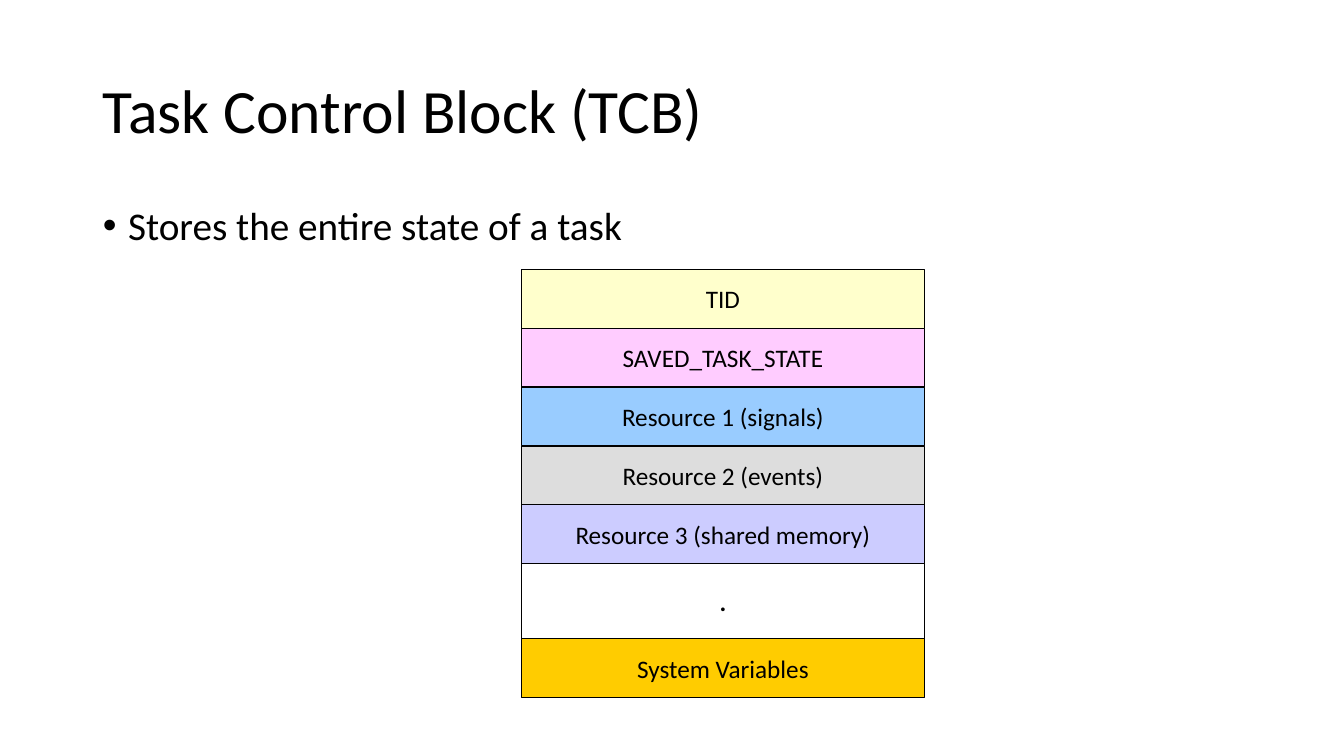
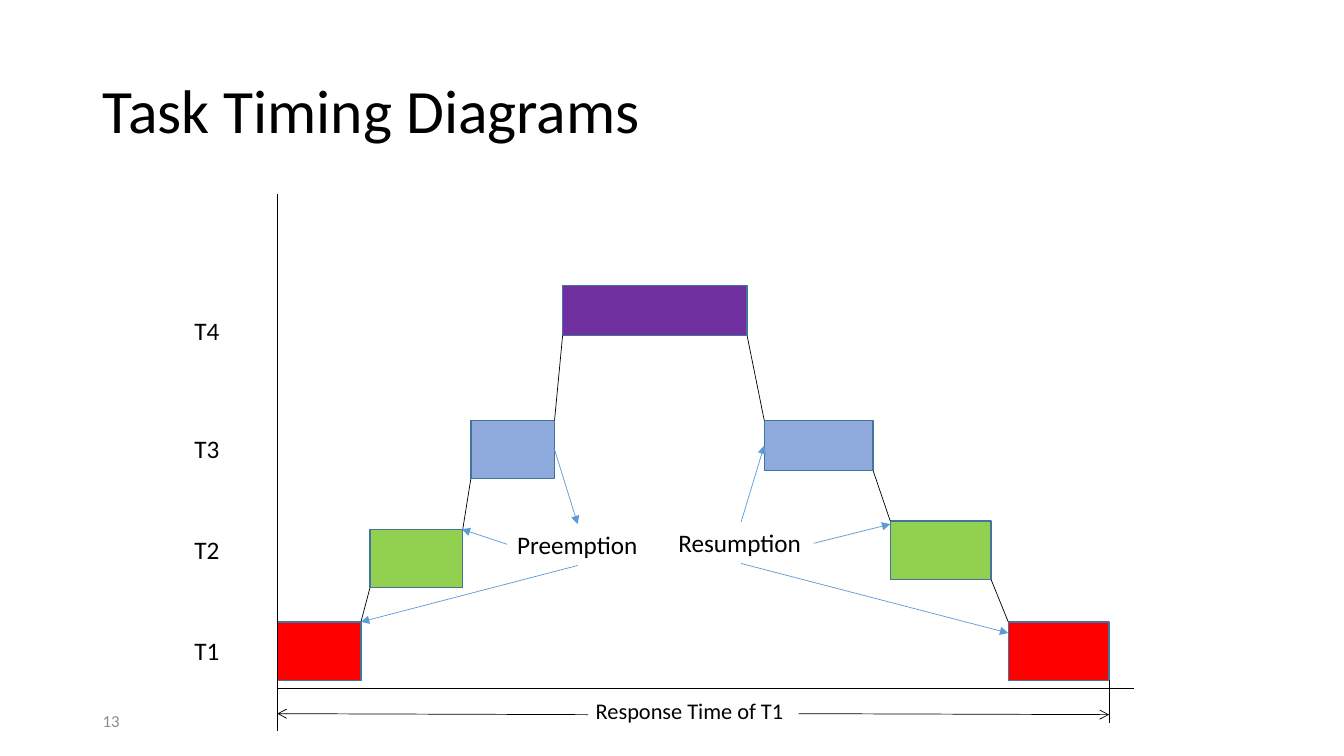
from itertools import pairwise

from lxml.etree import SubElement
from pptx import Presentation
from pptx.dml.color import RGBColor as Rgb
from pptx.enum.shapes import MSO_CONNECTOR as Conn, MSO_SHAPE as Form
from pptx.enum.text import MSO_ANCHOR as Anchor, MSO_AUTO_SIZE as Auto, PP_ALIGN as Align
from pptx.oxml.ns import qn
from pptx.util import Inches, Pt

FONT = "Calibri"
HUES = {
    "ink": "000000", "note": "8C8C8C", "edge": "43739E", "link": "5B9BD5",
    "cream": "FFFFCC", "pink": "FFCCFF", "sky": "99CCFF", "gray": "DDDDDD",
    "lilac": "CCCCFF", "gold": "FFCC00",
    "T1": "FF0000", "T2": "92D050", "T3": "8FAADC", "T4": "7030A0",
}

FIELDS = [
    ("TID", "cream"),
    ("SAVED_TASK_STATE", "pink"),
    ("Resource 1 (signals)", "sky"),
    ("Resource 2 (events)", "gray"),
    ("Resource 3 (shared memory)", "lilac"),
    (".", None),
    ("System Variables", "gold"),
]

# Task, left, top, width, height, in order of time
RUNS = [
    ("T1", 2.75, 6.17, 0.83, 0.58),
    ("T2", 3.67, 5.25, 0.92, 0.58),
    ("T3", 4.67, 4.17, 0.83, 0.58),
    ("T4", 5.58, 2.83, 1.83, 0.5),
    ("T3", 7.58, 4.17, 1.08, 0.5),
    ("T2", 8.83, 5.17, 1, 0.58),
    ("T1", 10, 6.17, 1, 0.58),
]
TASKS = {"T1": 6.25, "T2": 5.25, "T3": 4.25, "T4": 3.08}
AXES = [
    ((2.75, 1.92), (2.75, 7.25)),
    ((2.75, 6.83), (11.25, 6.83)),
    ((11, 6.75), (11, 7.17)),
]
SPANS = [((5.83, 7.09), (2.75, 7.08)), ((7.92, 7.08), (11, 7.09))]
LINKS = [
    ((5.73, 5.61), (3.58, 6.17)),
    ((5.03, 5.4), (4.58, 5.25)),
    ((5.5, 4.46), (5.73, 5.2)),
    ((7.35, 5.18), (7.58, 4.42)),
    ((8.07, 5.39), (8.83, 5.2)),
    ((7.35, 5.59), (10, 6.28)),
]


def tint(name):
    return Rgb.from_string(HUES[name])


def place(shape, left, top, width, height):
    shape.left, shape.top = Inches(left), Inches(top)
    shape.width, shape.height = Inches(width), Inches(height)


def write(shape, text, size, hue="ink", align=Align.LEFT, anchor=Anchor.TOP,
          wrap=True, bold=False):
    """Fill a shape with one styled paragraph and return that paragraph."""
    frame = shape.text_frame
    frame.text = text
    frame.auto_size = Auto.NONE
    frame.word_wrap = wrap
    frame.vertical_anchor = anchor
    para = frame.paragraphs[0]
    para.alignment = align
    font = para.runs[0].font
    font.name, font.size, font.bold = FONT, Pt(size), bold
    font.color.rgb = tint(hue)
    return para


def add_slide(deck, layout, title):
    slide = deck.slides.add_slide(deck.slide_layouts.get_by_name(layout))
    head = slide.shapes.title
    place(head, 0.92, 0.4, 11.5, 1.45)
    write(head, title, 44, anchor=Anchor.MIDDLE).line_spacing = 0.9
    return slide


def add_bullet(slide, text):
    body = slide.placeholders[1]
    place(body, 0.92, 2, 11.5, 4.76)
    para = write(body, text, 28)
    para.line_spacing, para.space_before = 0.9, Pt(10)
    props = para._p.get_or_add_pPr()
    props.set("marL", str(Inches(0.25)))
    props.set("indent", str(Inches(-0.25)))
    SubElement(props, qn("a:buFont"), typeface="Arial")
    SubElement(props, qn("a:buChar"), char="•")


def add_box(slide, spot, fill, edge, weight):
    box = slide.shapes.add_shape(Form.RECTANGLE, *map(Inches, spot))
    box.shadow.inherit = False
    if fill:
        box.fill.solid()
        box.fill.fore_color.rgb = tint(fill)
    else:
        box.fill.background()
    box.line.color.rgb = tint(edge)
    box.line.width = Pt(weight)
    return box


def add_label(slide, spot, text, size=18, **style):
    box = slide.shapes.add_textbox(*map(Inches, spot))
    write(box, text, size, **style)


def add_line(slide, start, end, hue="ink", tip=None):
    line = slide.shapes.add_connector(Conn.STRAIGHT, *map(Inches, start + end))
    line.line.color.rgb = tint(hue)
    line.line.width = Pt(0.5)
    if tip:
        SubElement(line.line._get_or_add_ln(), qn("a:tailEnd"), type=tip)
    SubElement(line._element.spPr, qn("a:effectLst"))


def add_stack(slide, left, top, width, height, gap):
    """Stack the block's fields; the unfilled one has the height of gap."""
    row = (height - gap) / (len(FIELDS) - 1)
    for text, fill in FIELDS:
        tall = row if fill else gap
        box = add_box(slide, (left, top, width, tall), fill, "ink", 0.75)
        write(box, text, 18, align=Align.CENTER, anchor=Anchor.MIDDLE,
              wrap=False, bold=fill is None)
        top += tall


def add_step(slide, prior, after):
    """Join the facing corners of two runs that follow each other."""
    _, left, top, width, height = prior
    _, left2, top2, _, height2 = after
    rises = top2 < top
    start = (left + width, top if rises else top + height)
    end = (left2, top2 + height2 if rises else top2)
    add_line(slide, start, end)


def draw_block(deck):
    slide = add_slide(deck, "Title and Content", "Task Control Block (TCB)")
    add_bullet(slide, "Stores the entire state of a task")
    add_stack(slide, 5.17, 2.67, 4, 4.25, gap=0.74)


def draw_timing(deck):
    slide = add_slide(deck, "Title Only", "Task Timing Diagrams")
    add_label(slide, (0.92, 6.95, 3, 0.4), "13", 12, hue="note", anchor=Anchor.MIDDLE)
    for task, *spot in RUNS:
        add_box(slide, spot, task, "edge", 1)
    for prior, after in pairwise(RUNS):
        add_step(slide, prior, after)
    for task, top in TASKS.items():
        add_label(slide, (1.83, top, 0.83, 0.4), task)
    for ends in AXES:
        add_line(slide, *ends)
    for ends in SPANS:
        add_line(slide, *ends, tip="arrow")
    for ends in LINKS:
        add_line(slide, *ends, hue="link", tip="triangle")
    add_label(slide, (5.81, 6.87, 2.09, 0.37), "Response Time of T1", 16, wrap=False)
    add_label(slide, (5.03, 5.2, 1.41, 0.4), "Preemption", wrap=False)
    add_label(slide, (6.63, 5.18, 1.43, 0.4), "Resumption", wrap=False)


def main():
    deck = Presentation()
    deck.slide_width, deck.slide_height = Inches(13.33), Inches(7.5)
    draw_block(deck)
    draw_timing(deck)
    deck.save("out.pptx")


if __name__ == "__main__":
    main()
